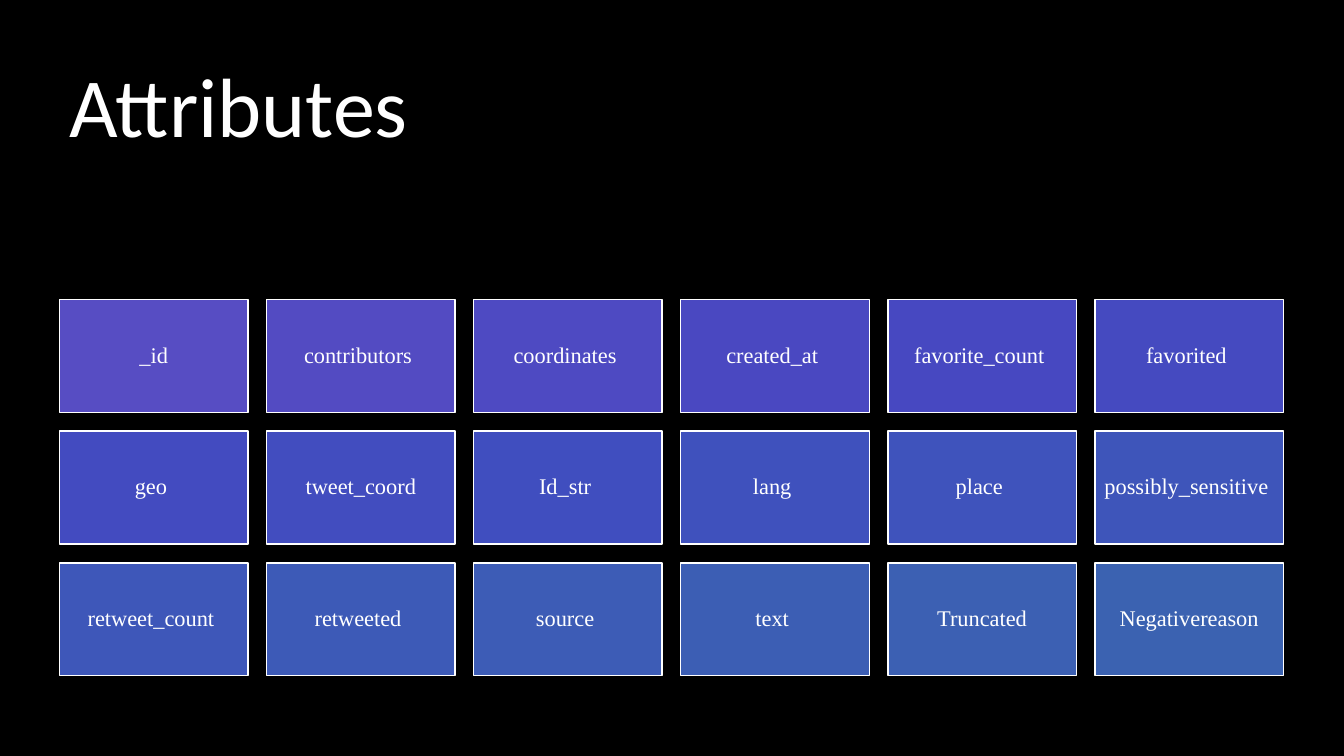
from colorsys import hls_to_rgb, rgb_to_hls

from pptx import Presentation
from pptx.dml.color import RGBColor
from pptx.enum.shapes import MSO_SHAPE as Shape
from pptx.enum.text import MSO_ANCHOR as Anchor, PP_ALIGN as Align
from pptx.util import Inches, Pt

COLORS = {
    "background": "000000",
    "text": "FFFFFF",
    "outline": "FFFFFF",
    "first_tile": "574DC3",
    "last_tile": "3B62B1",
}
NBSP = "\u00a0"
ATTRIBUTES = [
    ["_id", "contributors" + NBSP, "coordinates" + NBSP,
     "created_at" + NBSP, "favorite_count" + NBSP, "favorited" + NBSP],
    ["geo" + NBSP, "tweet_coord", "Id_str" + NBSP,
     "lang" + NBSP, "place" + NBSP, "possibly_sensitive" + NBSP],
    ["retweet_count" + NBSP, "retweeted" + NBSP, "source" + NBSP,
     "text" + NBSP, "Truncated", "Negativereason"],
]
GRID_LEFT, GRID_TOP = 0.59, 2.97
TILE_WIDTH, TILE_HEIGHT = 1.87, 1.12
COLUMN_STEP, ROW_STEP = 2.054, 1.307


def rgb(name):
    """Return the named colour as an RGBColor."""
    return RGBColor.from_string(COLORS[name])


def tile_color(share):
    """Blend the first and last tile colours by hue, lightness and saturation."""
    ends = [rgb_to_hls(*(part / 255 for part in rgb(name)))
            for name in ("first_tile", "last_tile")]
    blend = [start + (end - start) * share for start, end in zip(*ends)]
    return RGBColor(*(round(part * 255) for part in hls_to_rgb(*blend)))


def write_text(box, text, *, font, size, align=Align.LEFT, anchor=Anchor.TOP,
               inset=None):
    """Put one formatted paragraph into a box."""
    frame = box.text_frame
    frame.word_wrap = True
    frame.vertical_anchor = anchor
    if inset is not None:
        frame.margin_left = frame.margin_right = Inches(inset)
        frame.margin_top = frame.margin_bottom = Inches(inset)
    para = frame.paragraphs[0]
    para.alignment = align
    para.line_spacing = 0.9
    span = para.add_run()
    span.text = text
    span.font.name = font
    span.font.size = Pt(size)
    span.font.color.rgb = rgb("text")


def add_title(page, text):
    """Add the slide heading."""
    box = page.shapes.add_textbox(
        Inches(0.59), Inches(0.59), Inches(12.14), Inches(1.98))
    write_text(box, text, font="Calibri", size=60)


def add_tile(page, text, left, top, color):
    """Add one outlined attribute tile."""
    tile = page.shapes.add_shape(
        Shape.RECTANGLE, Inches(left), Inches(top),
        Inches(TILE_WIDTH), Inches(TILE_HEIGHT))
    tile.shadow.inherit = False
    tile.fill.solid()
    tile.fill.fore_color.rgb = color
    tile.line.color.rgb = rgb("outline")
    tile.line.width = Pt(1)
    write_text(tile, text, font="Times New Roman", size=16,
               align=Align.CENTER, anchor=Anchor.MIDDLE, inset=0.07)


def add_attribute_grid(page):
    """Lay out all attribute tiles in rows with a running colour blend."""
    last = sum(len(names) for names in ATTRIBUTES) - 1
    for row, names in enumerate(ATTRIBUTES):
        for column, name in enumerate(names):
            add_tile(page, name,
                     GRID_LEFT + column * COLUMN_STEP,
                     GRID_TOP + row * ROW_STEP,
                     tile_color((row * len(names) + column) / last))


def main():
    """Build and save the attributes slide."""
    deck = Presentation()
    deck.slide_width, deck.slide_height = Inches(13.33), Inches(7.5)
    page = deck.slides.add_slide(deck.slide_layouts[6])
    page.background.fill.solid()
    page.background.fill.fore_color.rgb = rgb("background")
    add_title(page, "Attributes")
    add_attribute_grid(page)
    deck.save("out.pptx")


main()
